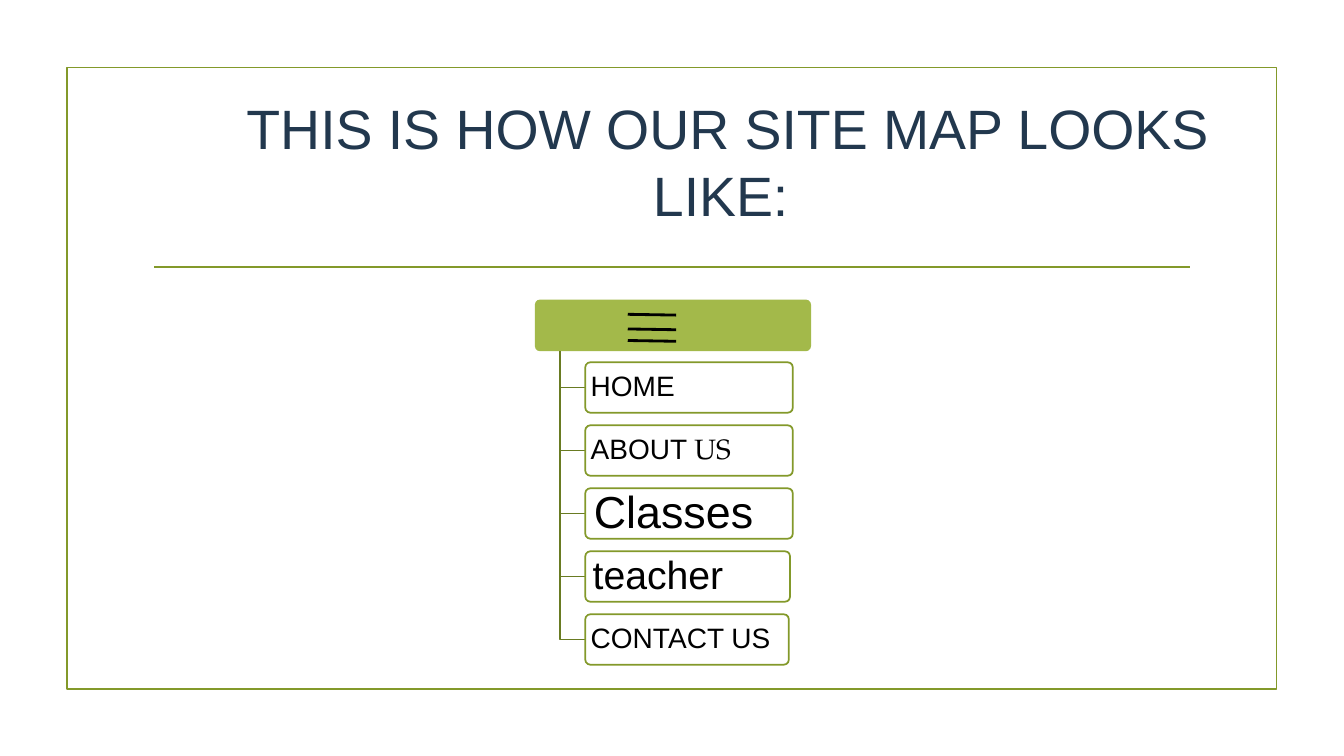
from dataclasses import dataclass

from lxml import etree
from pptx import Presentation
from pptx.dml.color import RGBColor
from pptx.enum.shapes import MSO_CONNECTOR, MSO_SHAPE
from pptx.enum.text import MSO_ANCHOR, MSO_AUTO_SIZE, PP_ALIGN
from pptx.oxml.ns import qn
from pptx.util import Cm, Pt

STRAIGHT = MSO_CONNECTOR.STRAIGHT
RECTANGLE = MSO_SHAPE.RECTANGLE
ROUNDED = MSO_SHAPE.ROUNDED_RECTANGLE
MIDDLE = MSO_ANCHOR.MIDDLE
NO_AUTOFIT = MSO_AUTO_SIZE.NONE
LEFT, CENTER = PP_ALIGN.LEFT, PP_ALIGN.CENTER
TITLE_ONLY = 5


@dataclass(frozen=True)
class Theme:
    white: str = "FFFFFF"
    black: str = "000000"
    navy: str = "22384E"
    olive: str = "83992A"
    branch: str = "697B22"
    menu: str = "A3B94A"
    sans: str = "Arial"
    serif: str = "TeX Gyre Pagella"
    title: float = 39.6
    small: float = 20
    medium: float = 28
    large: float = 32
    line: float = 1.25
    bar: float = 2


@dataclass(frozen=True)
class Box:
    """An area of the page, in centimetres."""
    left: float
    top: float
    width: float
    height: float

    def lengths(self):
        return Cm(self.left), Cm(self.top), Cm(self.width), Cm(self.height)


THEME = Theme()

# Entry: spans of (text, font), type size, box width, side inset
ENTRIES = [
    ([("HOME", THEME.sans)], THEME.small, 5.23, 0.1),
    ([("ABOUT", THEME.sans), (" US", THEME.serif)], THEME.small, 5.23, 0.1),
    ([("Classes", THEME.sans)], THEME.large, 5.23, 0.18),
    ([("teacher", THEME.sans)], THEME.medium, 5.16, 0.15),
    ([("CONTACT US", THEME.sans)], THEME.small, 5.13, 0.1),
]


def style_line(line, color, width=THEME.line):
    line.color.rgb = RGBColor.from_string(color)
    line.width = Pt(width)


def style_span(span, font, size, color):
    span.font.name = font
    span.font.size = Pt(size)
    span.font.color.rgb = RGBColor.from_string(color)


def add_block(page, kind, box, fill=None):
    block = page.shapes.add_shape(kind, *box.lengths())
    block.shadow.inherit = False
    if fill:
        block.fill.solid()
        block.fill.fore_color.rgb = RGBColor.from_string(fill)
    else:
        block.fill.background()
    if kind == ROUNDED:
        block.adjustments[0] = 0.1
    return block


def add_line(page, start, end, color, width=THEME.line):
    points = [Cm(value) for value in (*start, *end)]
    line = page.shapes.add_connector(STRAIGHT, *points)
    style_line(line.line, color, width)
    etree.SubElement(line._element.spPr, qn("a:effectLst"))


def add_frame(page, box):
    # Border with the rule below the title
    border = add_block(page, RECTANGLE, box)
    style_line(border.line, THEME.olive)
    rule_top = box.top + 5.03
    add_line(page, (box.left + 2.2, rule_top),
             (box.left + box.width - 2.17, rule_top), THEME.olive)


def add_title(page, box, text):
    title = page.shapes.title
    title.left, title.top, title.width, title.height = box.lengths()
    frame = title.text_frame
    frame.text = text
    frame.word_wrap = True
    frame.auto_size = NO_AUTOFIT
    frame.vertical_anchor = MIDDLE
    para = frame.paragraphs[0]
    para.alignment = CENTER
    style_span(para.runs[0], THEME.sans, THEME.title, THEME.navy)


def add_menu_button(page, box):
    button = add_block(page, ROUNDED, box, THEME.menu)
    button.line.fill.background()
    # Three bars of the menu icon
    for offset in (0.37, 0.74, 1.03):
        left, top = box.left + 2.34, box.top + offset
        add_line(page, (left, top), (left + 1.22, top + 0.02),
                 THEME.black, THEME.bar)


def add_branch(page, start, end):
    builder = page.shapes.build_freeform(Cm(start[0]), Cm(start[1]))
    builder.add_line_segments(
        [(Cm(start[0]), Cm(end[1])), (Cm(end[0]), Cm(end[1]))], close=False)
    branch = builder.convert_to_shape()
    branch.shadow.inherit = False
    branch.fill.background()
    style_line(branch.line, THEME.branch)


def add_entry(page, box, spans, size, inset):
    entry = add_block(page, ROUNDED, box, THEME.white)
    style_line(entry.line, THEME.olive)
    frame = entry.text_frame
    frame.word_wrap = True
    frame.vertical_anchor = MIDDLE
    frame.margin_left = frame.margin_right = Cm(inset)
    frame.margin_top = frame.margin_bottom = Cm(0.08)
    para = frame.paragraphs[0]
    para.alignment = LEFT
    para.line_spacing = 0.9
    for text, font in spans:
        span = para.add_run()
        span.text = text
        style_span(span, font, size, THEME.black)


def add_site_map(page, box):
    button = Box(box.left, box.top, box.width, 1.3)
    trunk = (box.left + 0.64, button.top + button.height)
    entry_left, first_top = box.left + 1.27, box.top + 1.58
    entry_height = 1.27
    pitch = (box.top + box.height - entry_height - first_top) / (len(ENTRIES) - 1)

    add_menu_button(page, button)
    for index, (spans, size, width, inset) in enumerate(ENTRIES):
        entry = Box(entry_left, first_top + index * pitch, width, entry_height)
        add_branch(page, trunk, (entry.left, entry.top + entry_height / 2))
        add_entry(page, entry, spans, size, inset)


def main():
    deck = Presentation()
    deck.slide_width, deck.slide_height = Cm(33.87), Cm(19.05)
    page = deck.slides.add_slide(deck.slide_layouts[TITLE_ONLY])
    add_frame(page, Box(1.69, 1.7, 30.48, 15.67))
    add_title(page, Box(4.83, 2.24, 26.67, 3.63),
              " THIS IS HOW OUR SITE MAP LOOKS LIKE:")
    add_site_map(page, Box(13.48, 7.55, 6.96, 9.2))
    deck.save("out.pptx")


if __name__ == "__main__":
    main()
